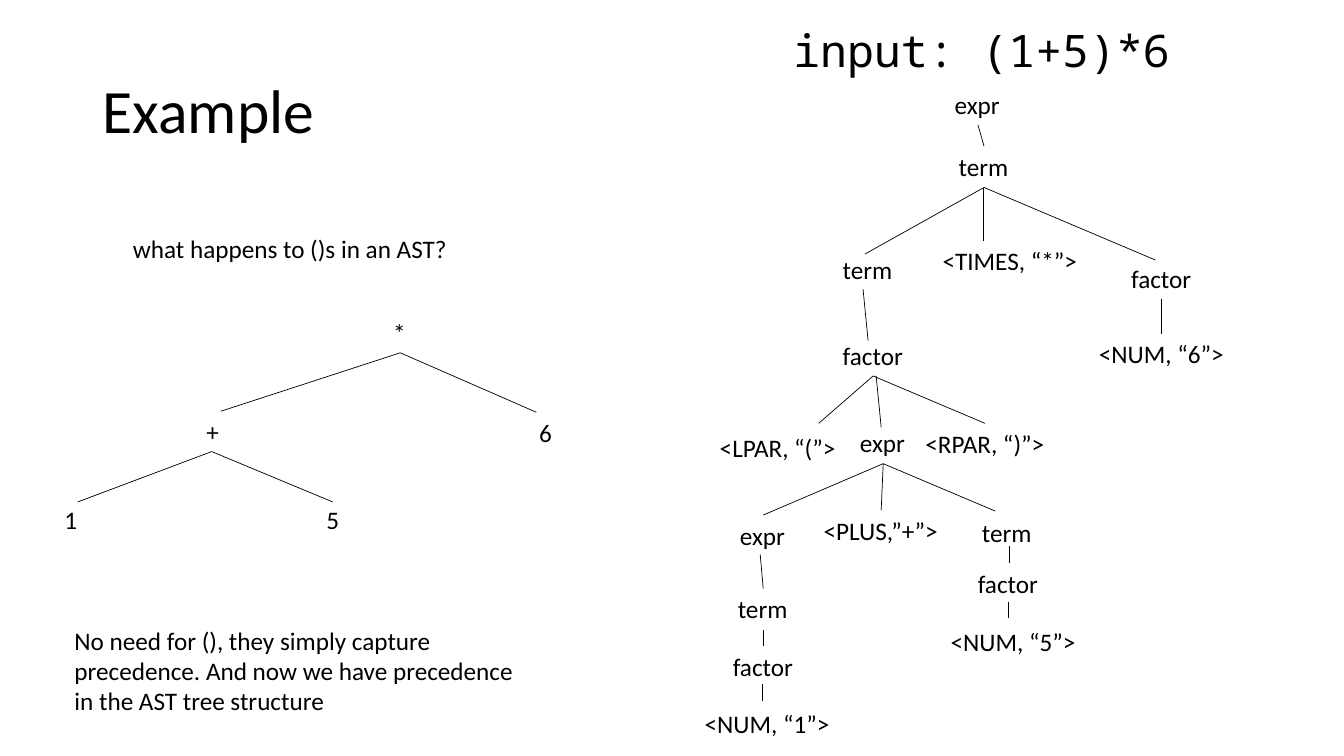
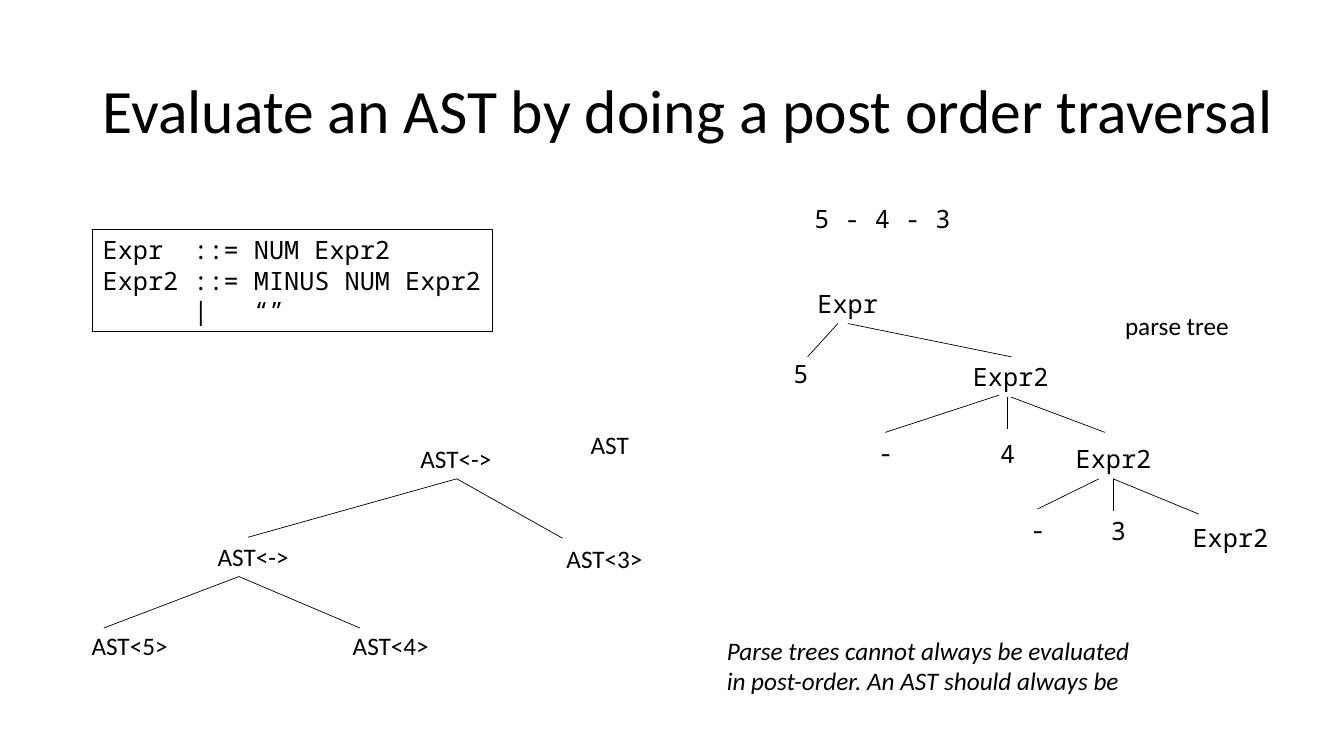
"""Build two slides on parse trees and abstract syntax trees."""
from dataclasses import dataclass
from typing import NamedTuple

from lxml import etree
from pptx import Presentation
from pptx import util as u
from pptx.dml.color import RGBColor
from pptx.enum import shapes, text
from pptx.oxml import ns
from pptx.slide import Slide

BLACK = "000000"
WHITE = "FFFFFF"
SANS = "Calibri"
MONO = "Noto Sans Mono"
BODY_SIZE = 18
ROW_HEIGHT = 0.4
MONO_PADDING = 0.2
MONO_ADVANCE = 0.15
SANS_WIDTHS = {
    "expr": 0.65, "term": 0.7, "factor": 0.8,
    "<LPAR, “(”>": 1.36, "<RPAR, “)”>": 1.39,
    "<PLUS,”+”>": 1.34, "<TIMES, “*”>": 1.55,
    "<NUM, “1”>": 1.45, "<NUM, “5”>": 1.45, "<NUM, “6”>": 1.45,
    "AST<->": 0.91, "AST<3>": 0.96, "AST<4>": 0.96, "AST<5>": 0.96,
}
SYMBOL_WIDTH = 0.33


class Point(NamedTuple):
    x: float
    y: float


class Box(NamedTuple):
    left: float
    top: float
    width: float
    height: float = ROW_HEIGHT


class Node(NamedTuple):
    label: str
    left: float
    top: float


class Branch(NamedTuple):
    parent: Point
    children: list[Point]


@dataclass(frozen=True)
class Tree:
    nodes: list[Node]
    branches: list[Branch]
    font: str = SANS


def color(value: str) -> RGBColor:
    """Turn a hex string into a colour."""
    return RGBColor.from_string(value)


def write(slide: Slide, content: str, box: Box, *, font: str = SANS,
          size: float = BODY_SIZE, italic: bool = False, wrap: bool = False,
          grow: bool = True, middle: bool = False, spacing: float = 1.0,
          outline: str | None = None) -> None:
    """Place formatted text, inside an outlined rectangle if asked."""
    place = [u.Inches(length) for length in box]
    if outline:
        holder = slide.shapes.add_shape(shapes.MSO_SHAPE.RECTANGLE, *place)
        holder.shadow.inherit = False
        holder.fill.background()
        holder.line.color.rgb = color(outline)
        holder.line.width = u.Pt(0.75)
    else:
        holder = slide.shapes.add_textbox(*place)
    frame = holder.text_frame
    frame.text = content
    frame.word_wrap = wrap
    sizing = text.MSO_AUTO_SIZE
    frame.auto_size = sizing.SHAPE_TO_FIT_TEXT if grow else sizing.NONE
    anchors = text.MSO_ANCHOR
    frame.vertical_anchor = anchors.MIDDLE if middle else anchors.TOP
    for paragraph in frame.paragraphs:
        paragraph.alignment = text.PP_ALIGN.LEFT
        paragraph.line_spacing = spacing
        for run in paragraph.runs:
            run.font.name = font
            run.font.size = u.Pt(size)
            run.font.italic = italic
            run.font.color.rgb = color(BLACK)


def connect(slide: Slide, parent: Point, child: Point) -> None:
    """Draw a thin edge from a parent to a child."""
    ends = [u.Inches(length) for length in (*parent, *child)]
    edge = slide.shapes.add_connector(shapes.MSO_CONNECTOR.STRAIGHT, *ends)
    edge.line.color.rgb = color(BLACK)
    edge.line.width = u.Pt(0.5)
    etree.SubElement(edge._element.spPr, ns.qn("a:effectLst"))


def label_width(label: str, font: str) -> float:
    """Give the width of a node label with its insets."""
    if font == MONO:
        return MONO_PADDING + MONO_ADVANCE * len(label)
    return SANS_WIDTHS.get(label, SYMBOL_WIDTH)


def draw_tree(slide: Slide, tree: Tree) -> None:
    """Draw the edges and labels of a tree."""
    for parent, children in tree.branches:
        for child in children:
            connect(slide, parent, child)
    for label, left, top in tree.nodes:
        box = Box(left, top, label_width(label, tree.font))
        write(slide, label, box, font=tree.font)


def add_titled_slide(deck: Presentation, title: str, width: float) -> Slide:
    """Add a white slide with its title."""
    slide = deck.slides.add_slide(deck.slide_layouts[6])
    slide.background.fill.solid()
    slide.background.fill.fore_color.rgb = color(WHITE)
    write(slide, title, Box(0.92, 0.4, width, 1.45), size=44, wrap=True,
          grow=False, middle=True, spacing=0.9)
    return slide


PRODUCT_PARSE = Tree(
    nodes=[
        Node("expr", 9.37, 0.84), Node("term", 9.41, 1.45),
        Node("term", 8.26, 2.47), Node("<TIMES, “*”>", 9.25, 2.38),
        Node("factor", 11.12, 2.56), Node("<NUM, “6”>", 10.8, 3.31),
        Node("factor", 8.26, 3.33), Node("<LPAR, “(”>", 7.04, 4.24),
        Node("expr", 8.43, 4.19), Node("<RPAR, “)”>", 9.08, 4.2),
        Node("expr", 7.24, 5.11), Node("<PLUS,”+”>", 8.07, 5.06),
        Node("term", 9.64, 5.08), Node("factor", 9.6, 5.59),
        Node("<NUM, “5”>", 9.33, 6.16), Node("term", 7.22, 5.84),
        Node("factor", 7.17, 6.41), Node("<NUM, “1”>", 6.89, 6.98),
    ],
    branches=[
        Branch(Point(9.7, 1.24), [Point(9.76, 1.45)]),
        Branch(Point(9.76, 1.86), [Point(8.58, 2.52), Point(11.46, 2.58)]),
        Branch(Point(9.75, 1.87), [Point(9.75, 2.39)]),
        Branch(Point(11.52, 2.97), [Point(11.52, 3.31)]),
        Branch(Point(8.56, 2.87), [Point(8.61, 3.38)]),
        Branch(Point(8.66, 3.73), [Point(8.12, 4.2), Point(9.77, 4.2)]),
        Branch(Point(8.69, 3.73), [Point(8.74, 4.24)]),
        Branch(Point(8.76, 4.6),
               [Point(7.57, 5.11), Point(8.74, 5.06), Point(9.87, 5.07)]),
        Branch(Point(10.01, 5.42), [Point(10.01, 5.59)]),
        Branch(Point(10, 5.97), [Point(10, 6.13)]),
        Branch(Point(7.54, 5.5), [Point(7.57, 5.84)]),
        Branch(Point(7.57, 6.25), [Point(7.57, 6.41)]),
        Branch(Point(7.56, 6.79), [Point(7.56, 6.95)]),
    ],
)

PRODUCT_AST = Tree(
    nodes=[
        Node("*", 3.8, 3.1), Node("+", 1.95, 4.08), Node("6", 5.25, 4.09),
        Node("1", 0.54, 4.95), Node("5", 3.14, 4.95),
    ],
    branches=[
        Branch(Point(3.97, 3.5), [Point(2.19, 4.08), Point(5.32, 4.09)]),
        Branch(Point(2.1, 4.48), [Point(0.77, 4.98), Point(3.3, 4.98)]),
    ],
)

MINUS_PARSE = Tree(
    font=MONO,
    nodes=[
        Node("Expr", 8.01, 2.81), Node("5", 7.77, 3.51),
        Node("Expr2", 9.55, 3.54), Node("-", 8.61, 4.29),
        Node("4", 9.82, 4.3), Node("Expr2", 10.57, 4.35),
        Node("-", 10.12, 5.05), Node("3", 10.92, 5.06),
        Node("Expr2", 11.73, 5.13),
    ],
    branches=[
        Branch(Point(8.31, 3.21), [Point(8.01, 3.54)]),
        Branch(Point(8.41, 3.21), [Point(10.03, 3.54)]),
        Branch(Point(9.91, 3.92), [Point(8.78, 4.29)]),
        Branch(Point(9.99, 3.94), [Point(9.99, 4.26)]),
        Branch(Point(10.03, 3.94), [Point(10.96, 4.29)]),
        Branch(Point(10.9, 4.75), [Point(10.29, 5.05)]),
        Branch(Point(11.04, 4.75), [Point(11.04, 5.07), Point(11.89, 5.1)]),
    ],
)

MINUS_AST = Tree(
    nodes=[
        Node("AST<->", 4.07, 4.35), Node("AST<->", 2.06, 5.32),
        Node("AST<3>", 5.52, 5.34), Node("AST<5>", 0.81, 6.2),
        Node("AST<4>", 3.4, 6.2),
    ],
    branches=[
        Branch(Point(4.53, 4.75), [Point(2.46, 5.33), Point(5.58, 5.34)]),
        Branch(Point(2.37, 5.72), [Point(1.03, 6.23), Point(3.57, 6.23)]),
    ],
)


def build_example(deck: Presentation) -> None:
    """Show what becomes of parentheses in an AST."""
    slide = add_titled_slide(deck, "Example", 11.5)
    write(slide, "input: (1+5)*6", Box(7.77, 0.18, 3.98, 0.64),
          font=MONO, size=32)
    write(slide, "what happens to ()s in an AST?", Box(1.22, 2.27, 3.36))
    draw_tree(slide, PRODUCT_PARSE)
    draw_tree(slide, PRODUCT_AST)
    write(slide, "No need for (), they simply capture\v"
          "precedence. And now we have precedence\v"
          "in the AST tree structure", Box(0.64, 6.15, 4.61, 1.01))


def build_traversal(deck: Presentation) -> None:
    """Compare a parse tree with an AST for evaluation."""
    slide = add_titled_slide(
        deck, "Evaluate an AST by doing a post order traversal", 12.05)
    write(slide, "Expr  ::= NUM Expr2\nExpr2 ::= MINUS NUM Expr2\n"
          "      |   “”", Box(0.92, 2.28, 3.97, 1.01),
          font=MONO, outline=BLACK)
    write(slide, "5 - 4 - 3", Box(7.98, 1.97, 1.56), font=MONO)
    draw_tree(slide, MINUS_PARSE)
    draw_tree(slide, MINUS_AST)
    write(slide, "parse tree", Box(11.06, 3.03, 1.24))
    write(slide, "AST", Box(5.76, 4.21, 0.58))
    write(slide, "Parse trees cannot always be evaluated in post-order. "
          "An AST should always be", Box(7.11, 6.25, 4.21, 0.71),
          italic=True, wrap=True)


def main() -> None:
    """Build and save the presentation."""
    deck = Presentation()
    deck.slide_width = u.Inches(13.33)
    deck.slide_height = u.Inches(7.5)
    build_example(deck)
    build_traversal(deck)
    deck.save("out.pptx")


main()
